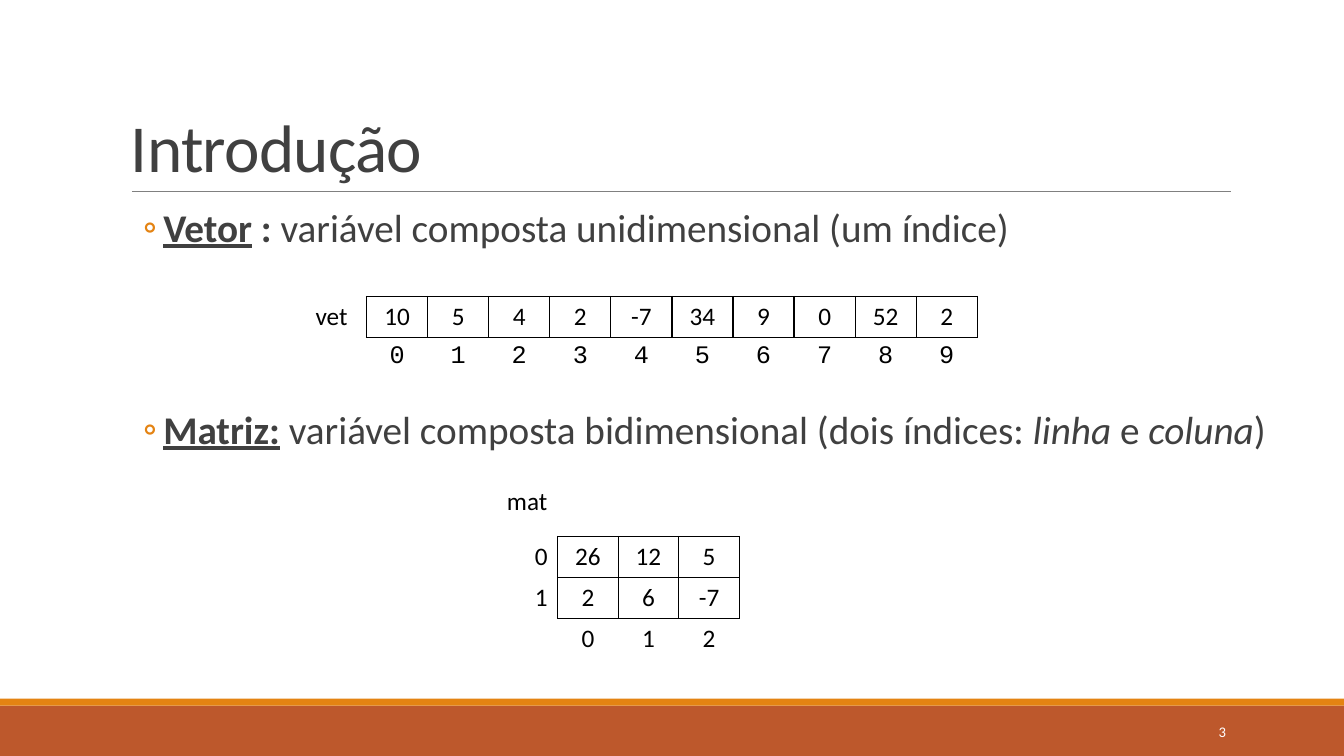
from dataclasses import dataclass

import pptx
import pptx.dml.color
import pptx.enum.shapes
import pptx.enum.text
import pptx.oxml.ns
import pptx.util
from lxml import etree

Pt = pptx.util.Pt
PP_ALIGN = pptx.enum.text.PP_ALIGN
MSO_ANCHOR = pptx.enum.text.MSO_ANCHOR
qn = pptx.oxml.ns.qn

COLORS = {
    "text": "404040",
    "black": "000000",
    "white": "FFFFFF",
    "rule": "808080",
    "orange": "E48312",
    "rust": "BD582C",
}


@dataclass
class Run:
    text: str
    bold: bool = False
    italic: bool = False
    underline: bool = False


@dataclass
class Bar:
    top: float
    height: float
    color: str


@dataclass
class Label:
    text: str
    left: float
    top: float
    width: float
    height: float
    size: float
    color: str
    align: PP_ALIGN = PP_ALIGN.LEFT
    anchor: MSO_ANCHOR = MSO_ANCHOR.TOP
    line_spacing: float = 1.0
    tracking: int = 0


@dataclass
class Grid:
    rows: list[list[str]]
    left: float
    top: float
    col_width: float
    row_height: float
    label_align: PP_ALIGN
    index_font: str = "Calibri"

    def boxed(self, row: int, col: int) -> bool:
        return 0 <= row < len(self.rows) - 1 and 1 <= col < len(self.rows[0])


def rgb(name: str) -> pptx.dml.color.RGBColor:
    return pptx.dml.color.RGBColor.from_string(COLORS[name])


def style(r, size: float, color: str, name: str = "Calibri") -> None:
    r.font.size = Pt(size)
    r.font.name = name
    r.font.color.rgb = rgb(color)


def add_bar(s, bar: Bar) -> None:
    sp = s.shapes.add_shape(
        pptx.enum.shapes.MSO_SHAPE.RECTANGLE, 0, Pt(bar.top), Pt(960), Pt(bar.height))
    sp.shadow.inherit = False
    sp.fill.solid()
    sp.fill.fore_color.rgb = rgb(bar.color)
    sp.line.fill.background()


def add_rule(s, left: float, right: float, y: float) -> None:
    ln = s.shapes.add_connector(
        pptx.enum.shapes.MSO_CONNECTOR.STRAIGHT, Pt(left), Pt(y), Pt(right), Pt(y))
    ln.line.color.rgb = rgb("rule")
    ln.line.width = Pt(0.5)
    etree.SubElement(ln._element.spPr, qn("a:effectLst"))


def add_label(s, label: Label) -> None:
    sp = s.shapes.add_textbox(
        Pt(label.left), Pt(label.top), Pt(label.width), Pt(label.height))
    tf = sp.text_frame
    tf.word_wrap = True
    tf.vertical_anchor = label.anchor
    tf.text = label.text
    p = tf.paragraphs[0]
    p.alignment = label.align
    p.line_spacing = label.line_spacing
    r = p.runs[0]
    style(r, label.size, label.color)
    if label.tracking:
        r._r.get_or_add_rPr().set("spc", str(label.tracking))


def add_bullet(p, runs: list[Run], space_before: float) -> None:
    p.line_spacing = 0.9
    p.space_before = Pt(space_before)
    p.space_after = Pt(4)
    pPr = p._p.get_or_add_pPr()
    pPr.set("marL", str(Pt(30.24)))
    pPr.set("indent", str(Pt(-14.4)))
    clr = etree.SubElement(pPr, qn("a:buClr"))
    etree.SubElement(clr, qn("a:srgbClr"), val=COLORS["orange"])
    etree.SubElement(pPr, qn("a:buFont"), typeface="Calibri")
    etree.SubElement(pPr, qn("a:buChar"), char="◦")
    for run in runs:
        r = p.add_run()
        r.text = run.text
        style(r, 28, "text")
        r.font.bold = run.bold
        r.font.italic = run.italic
        r.font.underline = run.underline


def add_borders(cell, grid: Grid, row: int, col: int) -> None:
    tcPr = cell._tc.get_or_add_tcPr()
    sides = {"lnL": (0, -1), "lnR": (0, 1), "lnT": (-1, 0), "lnB": (1, 0)}
    for tag, (dr, dc) in sides.items():
        ln = etree.SubElement(tcPr, qn(f"a:{tag}"), w=str(Pt(1)))
        if grid.boxed(row, col) or grid.boxed(row + dr, col + dc):
            fill = etree.SubElement(ln, qn("a:solidFill"))
            etree.SubElement(fill, qn("a:srgbClr"), val=COLORS["black"])
        else:
            etree.SubElement(ln, qn("a:noFill"))


def add_grid(s, grid: Grid) -> None:
    n_rows, n_cols = len(grid.rows), len(grid.rows[0])
    table = s.shapes.add_table(
        n_rows, n_cols, Pt(grid.left), Pt(grid.top),
        Pt(grid.col_width * n_cols), Pt(grid.row_height * n_rows)).table
    table.first_row = False
    table.horz_banding = False
    for column in table.columns:
        column.width = Pt(grid.col_width)
    for i, values in enumerate(grid.rows):
        table.rows[i].height = Pt(grid.row_height)
        for j, value in enumerate(values):
            cell = table.cell(i, j)
            add_borders(cell, grid, i, j)
            cell.fill.background()
            if not value:
                continue
            cell.text_frame.text = value
            p = cell.text_frame.paragraphs[0]
            p.alignment = PP_ALIGN.CENTER if j else grid.label_align
            font = grid.index_font if i == n_rows - 1 else "Calibri"
            style(p.runs[0], 18, "black", font)


prs = pptx.Presentation()
prs.slide_width, prs.slide_height = Pt(960), Pt(540)
s = prs.slides.add_slide(prs.slide_layouts[6])

for bar in (Bar(504, 36, "rust"), Bar(499, 5, "orange")):
    add_bar(s, bar)
add_rule(s, 94.3, 879, 136.8)

add_label(s, Label("Introdução", 86.4, 22.3, 792, 114.5, 48, "text",
                   anchor=MSO_ANCHOR.BOTTOM, line_spacing=0.85, tracking=-50))

body = s.shapes.add_textbox(Pt(86.4), Pt(145.4), Pt(838), Pt(316.8))
tf = body.text_frame
tf.word_wrap = True
tf.margin_left = tf.margin_right = 0
add_bullet(tf.paragraphs[0], [
    Run("Vetor", bold=True, underline=True),
    Run(" : ", bold=True),
    Run("variável composta unidimensional (um índice)"),
], 2)
add_bullet(tf.add_paragraph(), [
    Run("Matriz:", bold=True, underline=True),
    Run(" variável composta bidimensional (dois índices: "),
    Run("linha", italic=True),
    Run(" e "),
    Run("coluna", italic=True),
    Run(")"),
], 110)

vector = ["10", "5", "4", "2", "-7", "34", "9", "0", "52", "2"]
add_grid(s, Grid([["vet", *vector], ["", *map(str, range(len(vector)))]],
                 218.2, 211.7, 43.65, 29.2, PP_ALIGN.LEFT, "Courier New"))

matrix = [["26", "12", "5"], ["2", "6", "-7"]]
matrix_rows = [[str(i), *values] for i, values in enumerate(matrix)]
add_grid(s, Grid([*matrix_rows, ["", *map(str, range(len(matrix[0])))]],
                 355, 383.2, 43.3, 29.2, PP_ALIGN.RIGHT))

add_label(s, Label("mat", 355, 343.4, 46.8, 29, 18, "black"))
add_label(s, Label("3", 779.8, 508.5, 103, 28.8, 10.5, "white",
                   PP_ALIGN.RIGHT, MSO_ANCHOR.MIDDLE))

prs.save("out.pptx")
